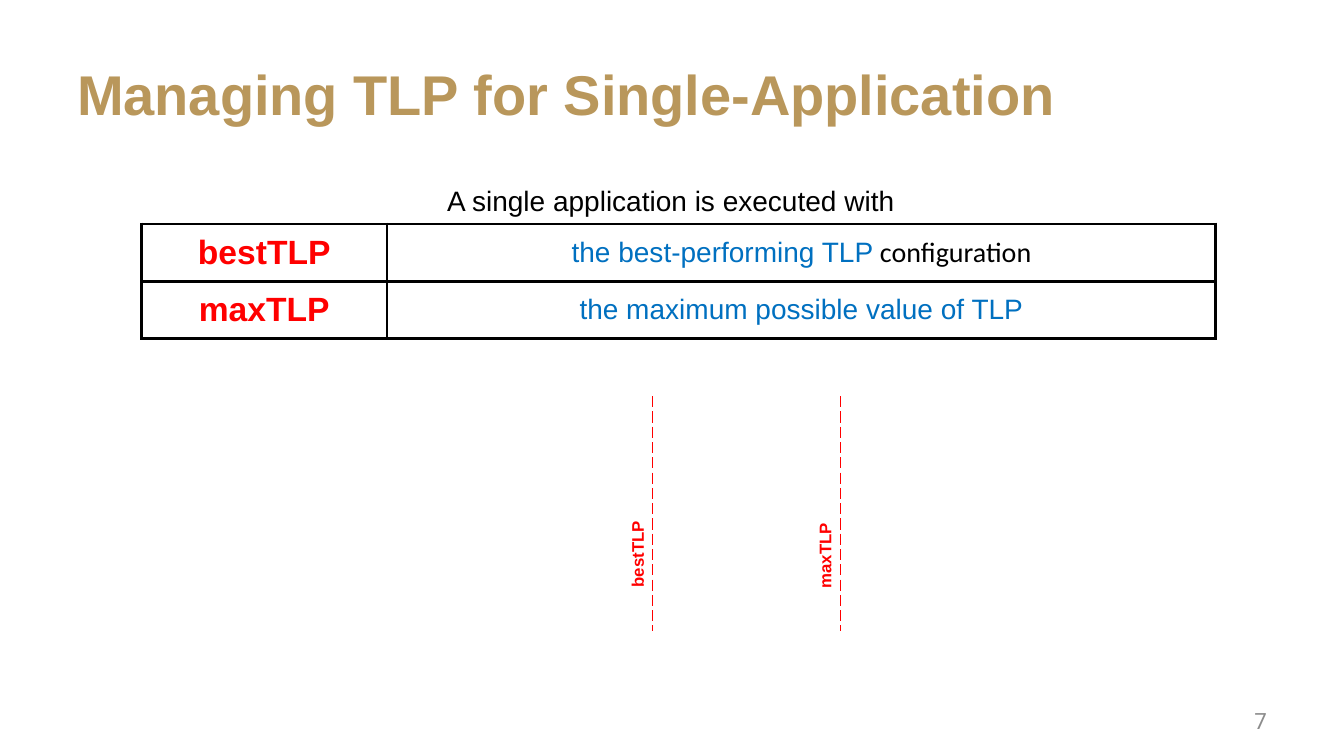
"""Build the slide on managing TLP for a single application."""
import lxml.etree
import pptx
import pptx.dml.color
import pptx.enum.dml
import pptx.enum.shapes
import pptx.enum.text
import pptx.oxml.ns
import pptx.util

Pt = pptx.util.Pt
ALIGN = pptx.enum.text.PP_ALIGN
ANCHOR = pptx.enum.text.MSO_ANCHOR
COLORS = {
    "gold": "B9975B",
    "gray": "8C8C8C",
    "red": "FF0000",
    "blue": "0070C0",
    "black": "000000",
}


def color_of(name):
    return pptx.dml.color.RGBColor.from_string(COLORS[name])


def add_run(para, text, size, color, font="Arial", bold=False):
    span = para.add_run()
    span.text = text
    span.font.size = Pt(size)
    span.font.name = font
    span.font.bold = bold
    span.font.color.rgb = color_of(color)


def add_text(page, left, top, width, height, text, size, color, font="Arial",
             bold=False, align=ALIGN.CENTER, anchor=ANCHOR.TOP, rotation=0):
    box = page.shapes.add_textbox(Pt(left), Pt(top), Pt(width), Pt(height))
    box.rotation = rotation
    frame = box.text_frame
    frame.word_wrap = True
    frame.vertical_anchor = anchor
    para = frame.paragraphs[0]
    para.alignment = align
    add_run(para, text, size, color, font, bold)


def set_borders(cell, color, width):
    properties = cell._tc.get_or_add_tcPr()
    for index, side in enumerate(("lnL", "lnR", "lnT", "lnB")):
        line = lxml.etree.Element(pptx.oxml.ns.qn("a:" + side), w=str(Pt(width)))
        fill = lxml.etree.SubElement(line, pptx.oxml.ns.qn("a:solidFill"))
        lxml.etree.SubElement(fill, pptx.oxml.ns.qn("a:srgbClr"), val=COLORS[color])
        properties.insert(index, line)


def add_definitions(page, left, top, column_widths, row_height, rows):
    frame = page.shapes.add_table(
        len(rows), len(column_widths), Pt(left), Pt(top),
        Pt(sum(column_widths)), Pt(row_height * len(rows)))
    table = frame.table
    table.first_row = False
    table.horz_banding = False
    for column, width in zip(table.columns, column_widths):
        column.width = Pt(width)
    for row_index, row in enumerate(rows):
        table.rows[row_index].height = Pt(row_height)
        for column_index, runs in enumerate(row):
            cell = table.cell(row_index, column_index)
            cell.fill.background()
            cell.vertical_anchor = ANCHOR.MIDDLE
            set_borders(cell, "black", 2.25)
            para = cell.text_frame.paragraphs[0]
            para.alignment = ALIGN.CENTER
            for run in runs:
                add_run(para, *run)


def add_marker(page, x, top, bottom):
    marker = page.shapes.add_connector(
        pptx.enum.shapes.MSO_CONNECTOR.STRAIGHT, Pt(x), Pt(top), Pt(x), Pt(bottom))
    marker.line.color.rgb = color_of("red")
    marker.line.width = Pt(1)
    marker.line.dash_style = pptx.enum.dml.MSO_LINE.LONG_DASH
    lxml.etree.SubElement(marker._element.spPr, pptx.oxml.ns.qn("a:effectLst"))


def main():
    deck = pptx.Presentation()
    deck.slide_width, deck.slide_height = Pt(960), Pt(540)
    page = deck.slides.add_slide(deck.slide_layouts[6])

    add_text(page, 48, 21.6, 864, 90, "Managing TLP for Single-Application", 40,
             "gold", bold=True, align=ALIGN.LEFT, anchor=ANCHOR.MIDDLE)
    add_text(page, 688, 500.4, 224, 28.8, "7", 16, "gray", font="Roboto",
             align=ALIGN.RIGHT, anchor=ANCHOR.MIDDLE)
    add_definitions(page, 101, 160, (175.5, 592), 41, [
        ([("bestTLP", 24, "red", "Arial", True)],
         [("the best-performing TLP", 20, "blue"),
          (" configuration", 20, "black", "Calibri")]),
        ([("maxTLP", 24, "red", "Arial", True)],
         [("the maximum possible value of TLP", 20, "blue")]),
    ])
    add_text(page, 174, 127.5, 610.5, 31.5, "A single application is executed with",
             20, "black")

    for x in (466, 600.5):
        add_marker(page, x, 283, 451)
    for label, left, top in (("bestTLP", 424, 385), ("maxTLP", 558, 386)):
        add_text(page, left, top, 62.5, 21.8, label, 12, "red", bold=True, rotation=270)

    deck.save("out.pptx")


if __name__ == "__main__":
    main()
